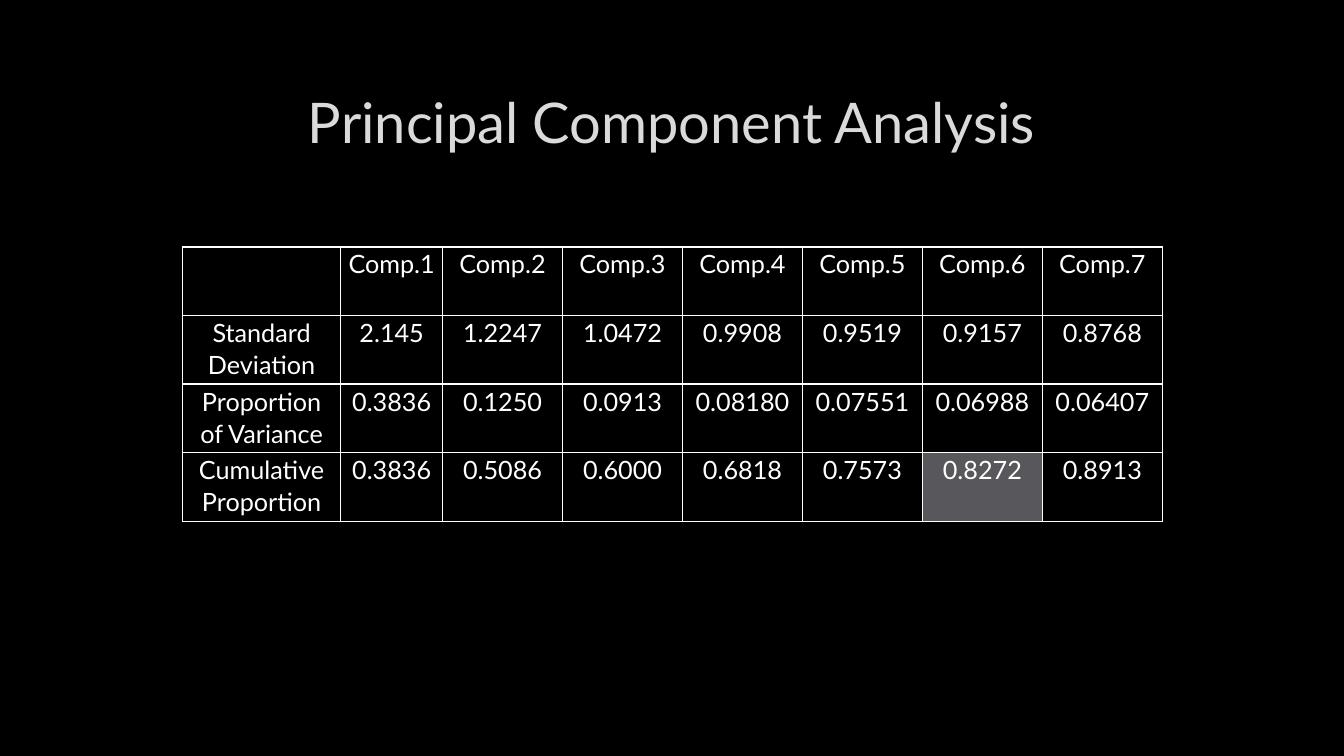
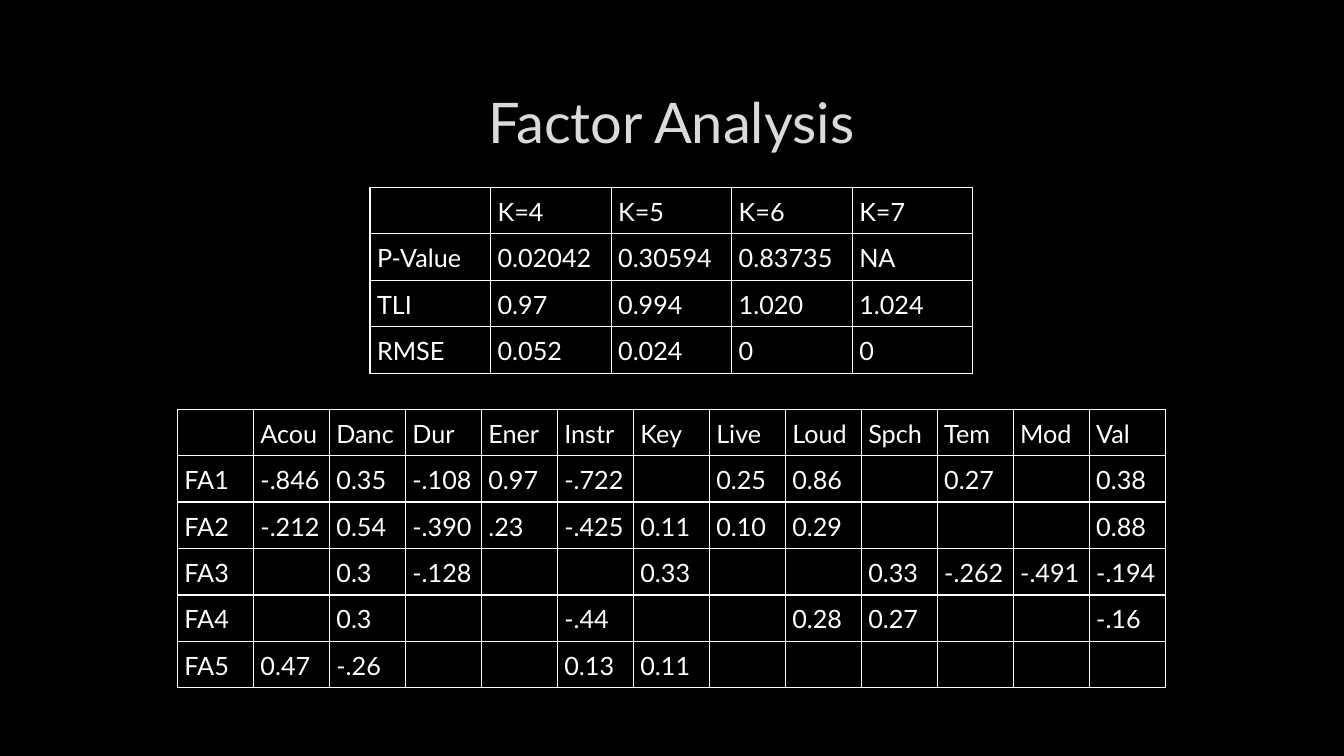
from lxml import etree
from pptx import Presentation
from pptx.dml.color import RGBColor
from pptx.enum.text import MSO_ANCHOR, PP_ALIGN
from pptx.oxml.ns import qn
from pptx.util import Inches, Pt

CENTER, LEFT = PP_ALIGN.CENTER, PP_ALIGN.LEFT
MIDDLE, TOP = MSO_ANCHOR.MIDDLE, MSO_ANCHOR.TOP
TITLE_ONLY = 5

BLACK, WHITE, GREY = "000000", "FFFFFF", "DADADA"
OUTLINE, HIGHLIGHT = "404040", "57575C"

COMPONENTS = [
    ["", *(f"Comp.{number}" for number in range(1, 8))],
    ["Standard Deviation", "2.145", "1.2247", "1.0472", "0.9908", "0.9519", "0.9157", "0.8768"],
    ["Proportion of Variance", "0.3836", "0.1250", "0.0913", "0.08180", "0.07551", "0.06988", "0.06407"],
    ["Cumulative Proportion", "0.3836", "0.5086", "0.6000", "0.6818", "0.7573", "0.8272", "0.8913"],
]
FIT_MEASURES = [
    ["", "K=4", "K=5", "K=6", "K=7"],
    ["P-Value", "0.02042", "0.30594", "0.83735", "NA"],
    ["TLI", "0.97", "0.994", "1.020", "1.024"],
    ["RMSE", "0.052", "0.024", "0", "0"],
]
LOADINGS = [
    ["", "Acou", "Danc", "Dur", "Ener", "Instr", "Key", "Live", "Loud", "Spch", "Tem", "Mod", "Val"],
    ["FA1", "-.846", "0.35", "-.108", "0.97", "-.722", "", "0.25", "0.86", "", "0.27", "", "0.38"],
    ["FA2", "-.212", "0.54", "-.390", ".23", "-.425", "0.11", "0.10", "0.29", "", "", "", "0.88"],
    ["FA3", "", "0.3", "-.128", "", "", "0.33", "", "", "0.33", "-.262", "-.491", "-.194"],
    ["FA4", "", "0.3", "", "", "-.44", "", "", "0.28", "0.27", "", "", "-.16"],
    ["FA5", "0.47", "-.26", "", "", "0.13", "0.11", "", "", "", "", "", ""],
]


def color(hex_value):
    return RGBColor.from_string(hex_value)


def set_attributes(target, values):
    for name, value in values.items():
        setattr(target, name, value)


def line_element(tag, hex_value, points, alpha=None):
    line = etree.Element(qn(tag), w=str(Pt(points)))
    fill = etree.SubElement(line, qn("a:solidFill"))
    line_color = etree.SubElement(fill, qn("a:srgbClr"), val=hex_value)
    if alpha is not None:
        etree.SubElement(line_color, qn("a:alpha"), val=str(alpha * 1000))
    return line


class Deck:
    font_name = "Lato"
    title_box = {"left": Inches(1), "top": Inches(0.67),
                 "width": Inches(11.32), "height": Inches(1.06)}

    def __init__(self):
        self.presentation = Presentation()
        set_attributes(self.presentation, {"slide_width": Inches(13.33),
                                           "slide_height": Inches(7.5)})
        background = self.presentation.slide_master.background.fill
        background.solid()
        background.fore_color.rgb = color(BLACK)
        self.slide = None

    def add_text(self, paragraph, text, size, hex_value, alignment):
        paragraph.alignment = alignment
        run = paragraph.add_run()
        run.text = text
        set_attributes(run.font, {"name": self.font_name, "size": Pt(size)})
        run.font.color.rgb = color(hex_value)
        return run

    def add_slide(self, title):
        layout = self.presentation.slide_layouts[TITLE_ONLY]
        self.slide = self.presentation.slides.add_slide(layout)
        shape = self.slide.shapes.title
        set_attributes(shape, self.title_box)
        shape.text_frame.vertical_anchor = MIDDLE
        run = self.add_text(shape.text_frame.paragraphs[0], title, 40, GREY, CENTER)
        # Faint outline around the letters
        run_properties = run._r.get_or_add_rPr()
        run_properties.insert(0, line_element("a:ln", OUTLINE, 0.75, alpha=10))

    def add_table(self, rows, left, top, widths, row_height,
                  alignment=LEFT, padding=0.07, highlight=None):
        shape = self.slide.shapes.add_table(
            len(rows), len(widths), Inches(left), Inches(top),
            Inches(sum(widths)), Inches(row_height * len(rows)))
        table = shape.table
        set_attributes(table, {"first_row": False, "horz_banding": False})
        for column, width in zip(table.columns, widths):
            column.width = Inches(width)
        for row_index, row in enumerate(rows):
            table.rows[row_index].height = Inches(row_height)
            for column_index, text in enumerate(row):
                self.format_cell(table.cell(row_index, column_index), text, alignment,
                                 padding, (row_index, column_index) == highlight)

    def format_cell(self, cell, text, alignment, padding, highlighted):
        set_attributes(cell, {
            "margin_left": Inches(0.07), "margin_right": Inches(0.07),
            "margin_top": Inches(padding), "margin_bottom": Inches(padding),
            "vertical_anchor": TOP})
        if highlighted:
            cell.fill.solid()
            cell.fill.fore_color.rgb = color(HIGHLIGHT)
        else:
            cell.fill.background()
        # Borders stand before the fill
        properties = cell._tc.get_or_add_tcPr()
        for index, tag in enumerate(("a:lnL", "a:lnR", "a:lnT", "a:lnB")):
            properties.insert(index, line_element(tag, WHITE, 1))
        if text:
            paragraph = cell.text_frame.paragraphs[0]
            paragraph.line_spacing = 1.07
            self.add_text(paragraph, text, 18, WHITE, alignment)


def main():
    deck = Deck()

    # Principal components
    deck.add_slide("Principal Component Analysis")
    deck.add_table(COMPONENTS, 1.81, 2.45, [1.57, 1.01] + [1.19] * 6, 0.68,
                   alignment=CENTER, padding=0, highlight=(3, 6))

    # Factor analysis: fit measures above, loadings below
    deck.add_slide("Factor Analysis")
    deck.add_table(FIT_MEASURES, 3.67, 1.86, [5.98 / 5] * 5, 0.46)
    deck.add_table(LOADINGS, 1.76, 4.06, [9.8 / 13] * 13, 0.46)

    deck.presentation.save("out.pptx")


if __name__ == "__main__":
    main()
